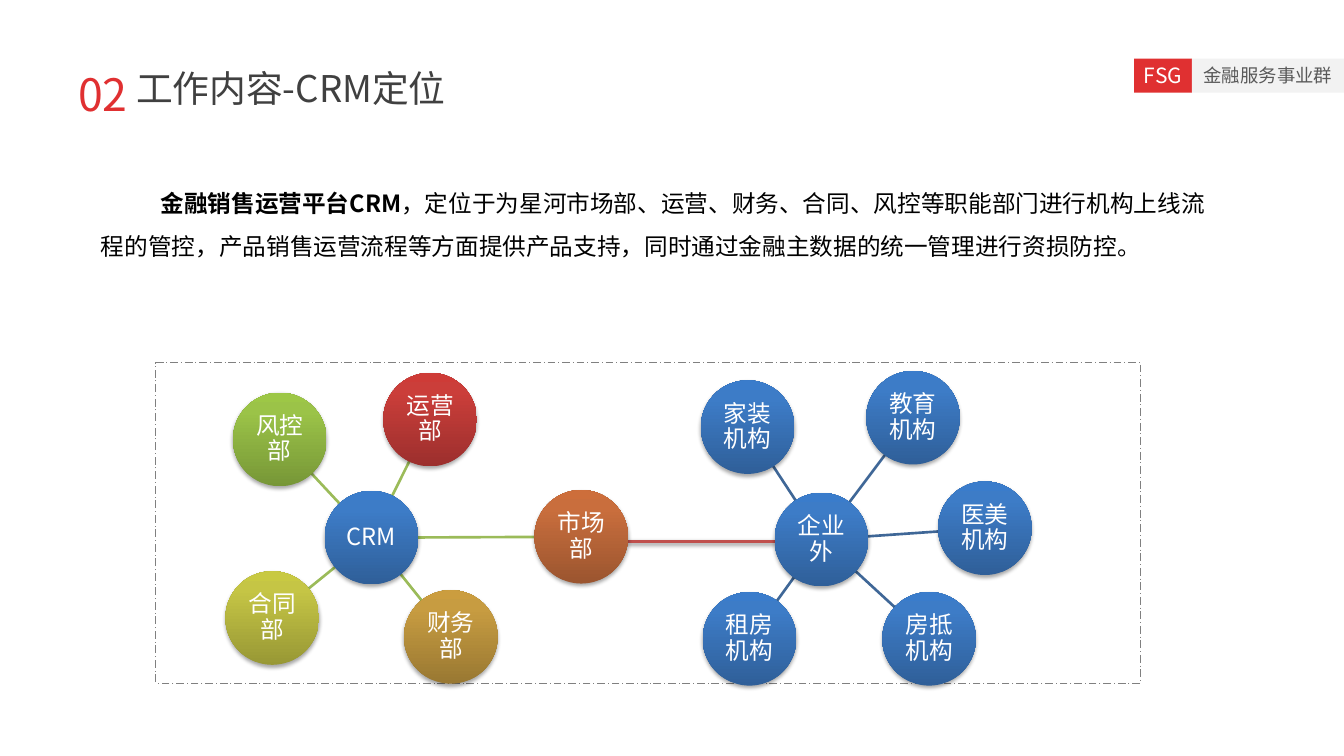
import math

import lxml.etree
import pptx
import pptx.dml.color
import pptx.enum.dml
import pptx.enum.shapes
import pptx.enum.text
import pptx.oxml.ns
import pptx.util

Inches = pptx.util.Inches
Pt = pptx.util.Pt
qn = pptx.oxml.ns.qn
SHAPE = pptx.enum.shapes.MSO_SHAPE
STRAIGHT = pptx.enum.shapes.MSO_CONNECTOR.STRAIGHT
ANCHOR = pptx.enum.text.MSO_ANCHOR
ALIGN = pptx.enum.text.PP_ALIGN
FONT = "Noto Sans CJK SC"


def colour(hex_value):
    return pptx.dml.color.RGBColor.from_string(hex_value)


def format_text(frame, size, hex_value, align, anchor, spacing=1.0):
    frame.vertical_anchor = anchor
    for paragraph in frame.paragraphs:
        paragraph.alignment = align
        paragraph.line_spacing = spacing
        for run in paragraph.runs:
            run.font.size = Pt(size)
            run.font.name = FONT
            run.font.color.rgb = colour(hex_value)
            east_asian = lxml.etree.SubElement(run.font._element, qn("a:ea"))
            east_asian.set("typeface", FONT)


deck = pptx.Presentation()
deck.slide_width = Inches(14.22)
deck.slide_height = Inches(8)
slide = deck.slides.add_slide(deck.slide_layouts[5])
shapes = slide.shapes

for label, left, width, fill, size, ink in [
    ("FSG", 12, 0.61, "E03031", 16, "FFFFFF"),
    ("金融服务事业群", 12.61, 1.61, "F2F2F2", 14, "595959"),
]:
    tag = shapes.add_shape(SHAPE.RECTANGLE, Inches(left), Inches(0.62), Inches(width), Inches(0.36))
    tag.shadow.inherit = False
    tag.fill.solid()
    tag.fill.fore_color.rgb = colour(fill)
    tag.line.fill.background()
    tag.text_frame.text = label
    format_text(tag.text_frame, size, ink, ALIGN.CENTER, ANCHOR.MIDDLE)

title = shapes.title
title.left, title.top, title.width, title.height = Inches(1.34), Inches(0.18), Inches(3.75), Inches(0.96)
title.text_frame.text = "工作内容-CRM定位"
title.text_frame.word_wrap = False
title.text_frame.auto_size = pptx.enum.text.MSO_AUTO_SIZE.NONE
format_text(title.text_frame, 28, "404040", ALIGN.LEFT, ANCHOR.TOP, 2.0)

section = shapes.add_textbox(Inches(0.71), Inches(0.09), Inches(0.76), Inches(1.15))
section.text_frame.text = "02"
section.text_frame.word_wrap = False
format_text(section.text_frame, 34, "E03031", ALIGN.CENTER, ANCHOR.TOP, 2.0)

intro = shapes.add_textbox(Inches(0.97), Inches(1.8), Inches(12.05), Inches(1.34))
intro.text_frame.word_wrap = True
positioning = intro.text_frame.paragraphs[0]
platform = positioning.add_run()
platform.text = "金融销售运营平台CRM"
platform.font.bold = True
positioning.add_run().text = (
    "，定位于为星河市场部、运营、财务、合同、风控等职能部门进行机构上线流程的管控，"
    "产品销售运营流程等方面提供产品支持，同时通过金融主数据的统一管理进行资损防控。"
)
format_text(intro.text_frame, 18, "000000", ALIGN.LEFT, ANCHOR.TOP, 1.5)
positioning._p.get_or_add_pPr().set("indent", str(Inches(0.63)))

frame = shapes.add_shape(SHAPE.RECTANGLE, Inches(1.65), Inches(3.84), Inches(10.42), Inches(3.39))
frame.shadow.inherit = False
frame.fill.background()
frame.line.color.rgb = colour("808080")
frame.line.width = Pt(0.75)
frame.line.dash_style = pptx.enum.dml.MSO_LINE.LONG_DASH_DOT

BLUE = ("2F5F99", "3D7CC7", "3A7CCB")
DIAMETER = 0.99
RADIUS = DIAMETER / 2
clusters = [
    ("9BBB59", [
        ("CRM", 3.93, 5.69, BLUE),
        ("运营部", 4.55, 4.44, ("9C2F2D", "CB3E3A", "CE3B37")),
        ("市场部", 6.15, 5.68, ("9B552F", "C96E3D", "CD6E3B")),
        ("财务部", 4.77, 6.74, ("997832", "C79C41", "CB9D3F")),
        ("合同部", 2.88, 6.54, ("989835", "C5C545", "C8C942")),
        ("风控部", 2.96, 4.65, ("779737", "9BC348", "9DC746")),
    ]),
    ("3F6797", [
        ("企业外", 8.69, 5.71, BLUE),
        ("教育机构", 9.66, 4.42, BLUE),
        ("医美机构", 10.42, 5.59, BLUE),
        ("房抵机构", 9.83, 6.76, BLUE),
        ("租房机构", 7.93, 6.76, BLUE),
        ("家装机构", 7.91, 4.52, BLUE),
    ]),
]

links = [(6.64, 5.73, 8.21, 5.73, "C0504D", 3)]
for spoke_colour, nodes in clusters:
    hub_x, hub_y = nodes[0][1:3]
    for label, x, y, shades in nodes[1:]:
        angle = math.atan2(y - hub_y, x - hub_x)
        dx, dy = RADIUS * math.cos(angle), RADIUS * math.sin(angle)
        links.append((hub_x + dx, hub_y + dy, x - dx, y - dy, spoke_colour, 2))

raised = []
for x1, y1, x2, y2, link_colour, weight in links:
    link = shapes.add_connector(STRAIGHT, Inches(x1), Inches(y1), Inches(x2), Inches(y2))
    link.line.color.rgb = colour(link_colour)
    link.line.width = Pt(weight)
    effects = lxml.etree.SubElement(link._element.spPr, qn("a:effectLst"))
    if weight == 3:
        raised.append(effects)

for spoke_colour, nodes in clusters:
    for label, x, y, shades in nodes:
        node = shapes.add_shape(
            SHAPE.OVAL, Inches(x - RADIUS), Inches(y - RADIUS), Inches(DIAMETER), Inches(DIAMETER))
        node.line.fill.background()
        node.fill.gradient()
        node.fill.gradient_angle = 90
        stops = node._element.spPr.find(".//" + qn("a:gsLst"))
        for stop in list(stops):
            stops.remove(stop)
        for position, shade in zip((0, 80, 100), shades):
            stop = lxml.etree.SubElement(stops, qn("a:gs"), pos=str(position * 1000))
            lxml.etree.SubElement(stop, qn("a:srgbClr"), val=shade)
        node.shadow.inherit = False
        raised.append(node._element.spPr.find(qn("a:effectLst")))
        text = node.text_frame
        text.text = label
        text.word_wrap = True
        text.margin_left = text.margin_right = text.margin_top = text.margin_bottom = Inches(0.01)
        format_text(text, 18, "FFFFFF", ALIGN.CENTER, ANCHOR.MIDDLE, 0.9)

for effects in raised:
    shadow = lxml.etree.SubElement(
        effects, qn("a:outerShdw"), blurRad=str(Pt(3.1)), dist=str(Pt(1.8)), dir="5400000", rotWithShape="0")
    black = lxml.etree.SubElement(shadow, qn("a:srgbClr"), val="000000")
    lxml.etree.SubElement(black, qn("a:alpha"), val="35000")

deck.save("out.pptx")
